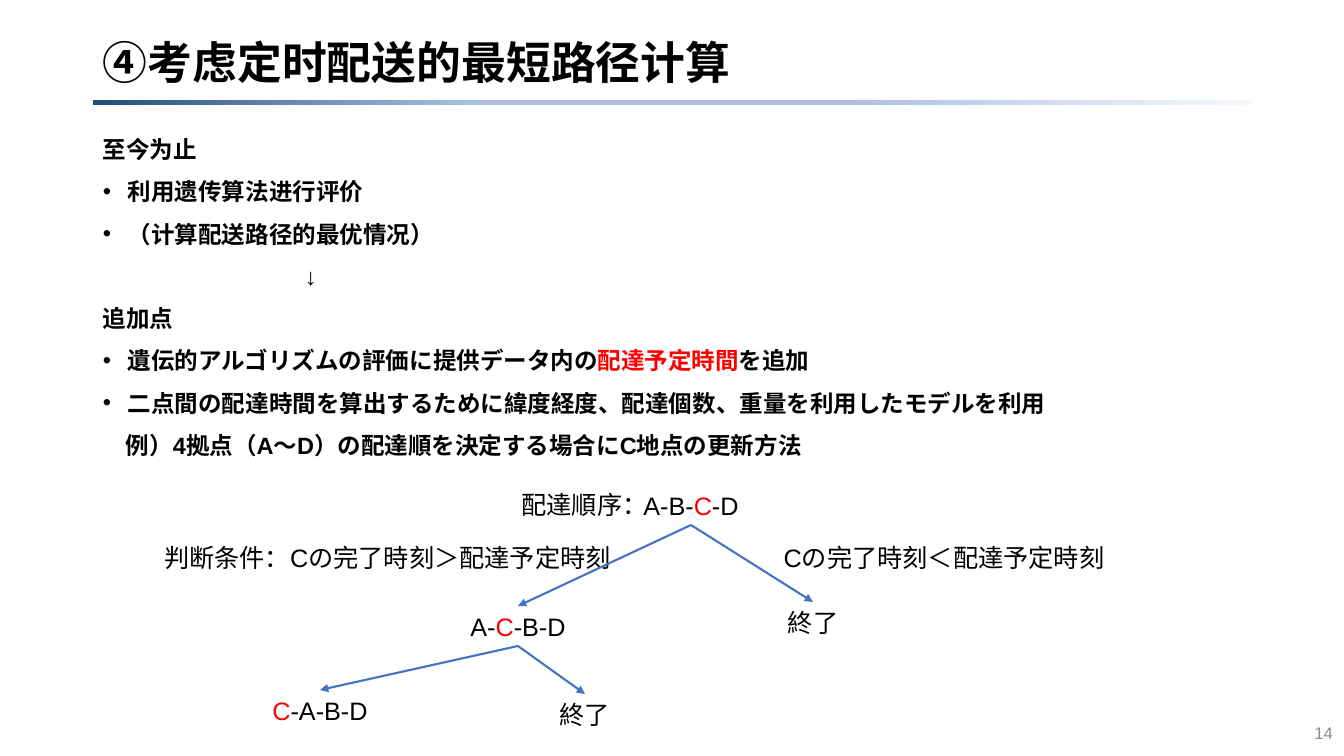
from lxml import etree
from pptx import Presentation
from pptx.dml.color import RGBColor
from pptx.enum.shapes import MSO_CONNECTOR, MSO_SHAPE
from pptx.enum.text import MSO_ANCHOR, PP_ALIGN
from pptx.oxml import parse_xml
from pptx.oxml.ns import nsdecls, qn
from pptx.util import Emu, Pt

LEFT, MID, RIGHT = PP_ALIGN.LEFT, PP_ALIGN.CENTER, PP_ALIGN.RIGHT
TOP, CENTER = MSO_ANCHOR.TOP, MSO_ANCHOR.MIDDLE
RECT, LINE = MSO_SHAPE.RECTANGLE, MSO_CONNECTOR.STRAIGHT

# Content: text between bars is red
LATIN, CJK = "Arial", "Noto Sans CJK SC"
BLACK, RED, GREY, BLUE = "000000", "FF0000", "8C8C8C", "4472C4"
TITLE = "④考虑定时配送的最短路径计算"
PAGE = "14"
FADE = [(0, "1F4E79"), (33, "ABC0E4"), (65, "ABC0E4"), (100, "F6F8FC")]

# Text, font, indent in px, bullet
BODY = [
    ("至今为止", CJK, 0, False),
    ("利用遗传算法进行评价", CJK, 25, True),
    ("（计算配送路径的最优情况）", CJK, 25, True),
    ("↓", LATIN, 202, False),
    ("追加点", LATIN, 0, False),
    ("遺伝的アルゴリズムの評価に提供データ内の|配達予定時間|を追加", LATIN, 25, True),
    ("二点間の配達時間を算出するために緯度経度、配達個数、重量を利用したモデルを利用",
     LATIN, 25, True),
    ("例）4拠点（A～D）の配達順を決定する場合にC地点の更新方法", LATIN, 23, False),
]

# Name: text, centre x, top
NODES = {
    "root": ("A-B-|C|-D", 691, 485),
    "swap": ("A-|C|-B-D", 518, 606),
    "stop": ("終了", 813, 602),
    "first": ("|C|-A-B-D", 320, 690),
    "end": ("終了", 585, 694),
}
EDGES = [("root", "swap"), ("root", "stop"), ("swap", "first"), ("swap", "end")]

# Text, left, top, width
LABELS = [
    ("配達順序：", 498, 484, 173),
    ("判断条件：Cの完了時刻＞配達予定時刻", 31, 537, 713),
    ("Cの完了時刻＜配達予定時刻", 722, 537, 444),
]
NODE_W, ROW_H = 173, 40
EDGE_X, FULL_W = 93, 1159


def px(n):
    return Emu(round(n * 914400 / 100.8))


def rgb(code):
    return RGBColor.from_string(code)


def write(par, text, size, color=BLACK, bold=False, face=LATIN):
    for i, part in enumerate(text.split("|")):
        if not part:
            continue
        run = par.add_run()
        run.text = part
        font = run.font
        font.size, font.bold, font.name = Pt(size), bold, face
        font.color.rgb = rgb(RED if i % 2 else color)
        east = etree.SubElement(run._r.get_or_add_rPr(), qn("a:ea"))
        east.set("typeface", CJK)


def frame(x, y, w, h, anchor=TOP):
    box = slide.shapes.add_textbox(px(x), px(y), px(w), px(h)).text_frame
    box.word_wrap = True
    box.vertical_anchor = anchor
    return box


def label(text, x, y, w, h=ROW_H, size=18, align=MID, anchor=TOP, **style):
    par = frame(x, y, w, h, anchor).paragraphs[0]
    par.alignment = align
    write(par, text, size, **style)
    return par


def indent(par, left, dot):
    props = par._p.get_or_add_pPr()
    props.set("marL", str(px(left)))
    props.set("indent", str(-px(left) if dot else 0))
    if dot:
        etree.SubElement(props, qn("a:buFont")).set("typeface", LATIN)
        etree.SubElement(props, qn("a:buChar")).set("char", "•")


def arrow(start, end):
    _, x1, y1 = NODES[start]
    _, x2, y2 = NODES[end]
    link = slide.shapes.add_connector(LINE, px(x1), px(y1 + ROW_H), px(x2), px(y2))
    link.line.color.rgb = rgb(BLUE)
    link.line.width = Pt(1.5)
    etree.SubElement(link.line._get_or_add_ln(), qn("a:tailEnd")).set("type", "triangle")
    etree.SubElement(link._element.spPr, qn("a:effectLst"))


deck = Presentation()
deck.slide_width, deck.slide_height = px(1344), px(756)
slide = deck.slides.add_slide(deck.slide_layouts[6])

# Fading rule under the title
rule = slide.shapes.add_shape(RECT, px(EDGE_X), px(100), px(FULL_W), px(5))
rule.shadow.inherit = False
rule.line.fill.background()
stops = "".join(
    f'<a:gs pos="{pos * 1000}"><a:srgbClr val="{code}"/></a:gs>' for pos, code in FADE)
rule._element.spPr.find(qn("a:prstGeom")).addnext(parse_xml(
    f'<a:gradFill {nsdecls("a")}><a:gsLst>{stops}</a:gsLst><a:lin ang="0"/></a:gradFill>'))

# Title and page number
head = label(TITLE, EDGE_X, 33, FULL_W, 63, 32, LEFT, CENTER, bold=True)
head.line_spacing = 0.9
label(PAGE, 1041, 713, 302, ROW_H, 12, RIGHT, CENTER, color=GREY)

# Body
body = frame(EDGE_X, 129, FULL_W, 364)
for i, (text, face, left, dot) in enumerate(BODY):
    par = body.add_paragraph() if i else body.paragraphs[0]
    indent(par, left, dot)
    par.line_spacing = Pt(21)
    if i:
        par.space_before = Pt(9.2)
    write(par, text, 16.8, bold=True, face=face)

# Decision tree
for text, x, y, w in LABELS:
    label(text, x, y, w)
for text, x, y in NODES.values():
    label(text, x - NODE_W / 2, y, NODE_W)
for start, end in EDGES:
    arrow(start, end)

deck.save("out.pptx")
